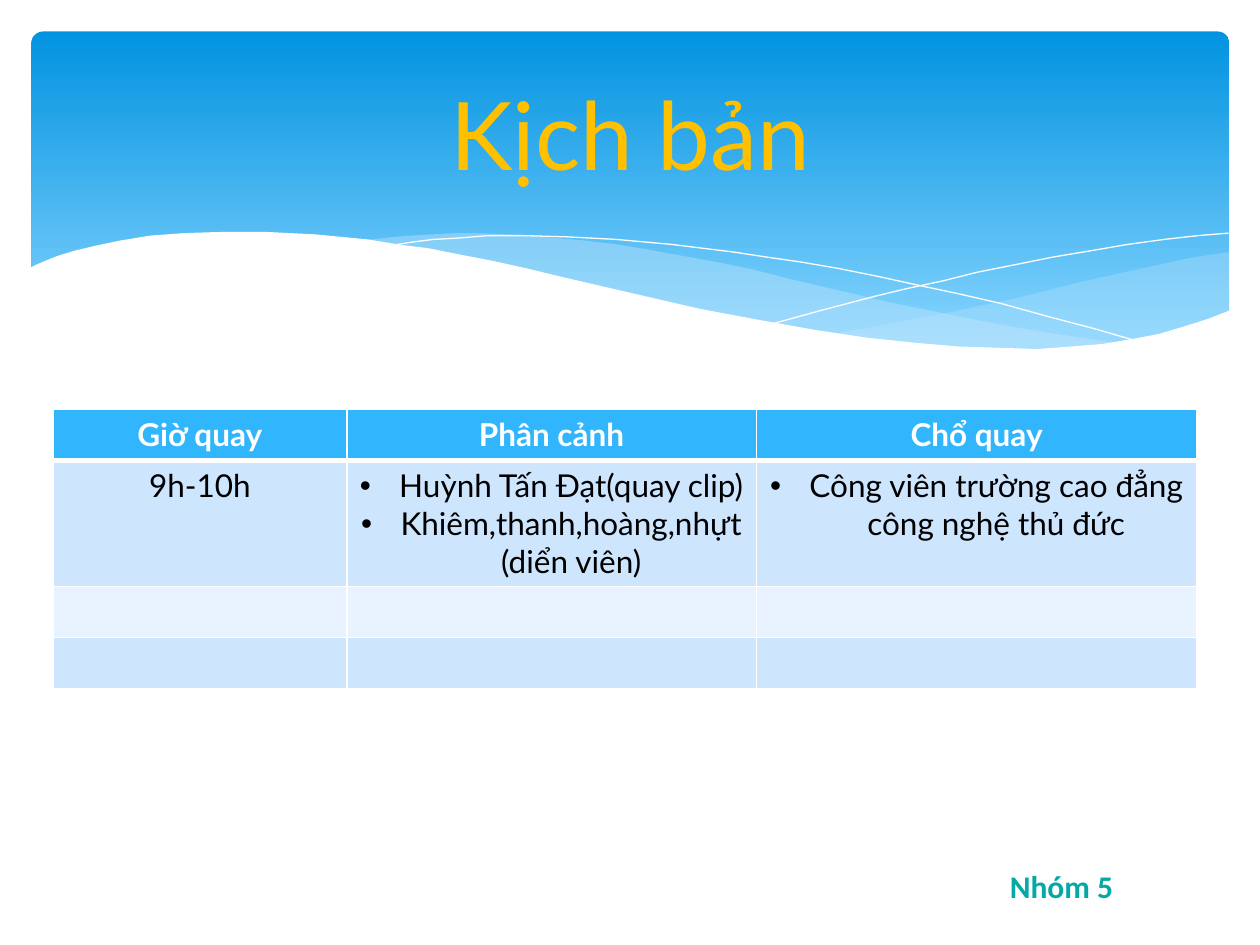
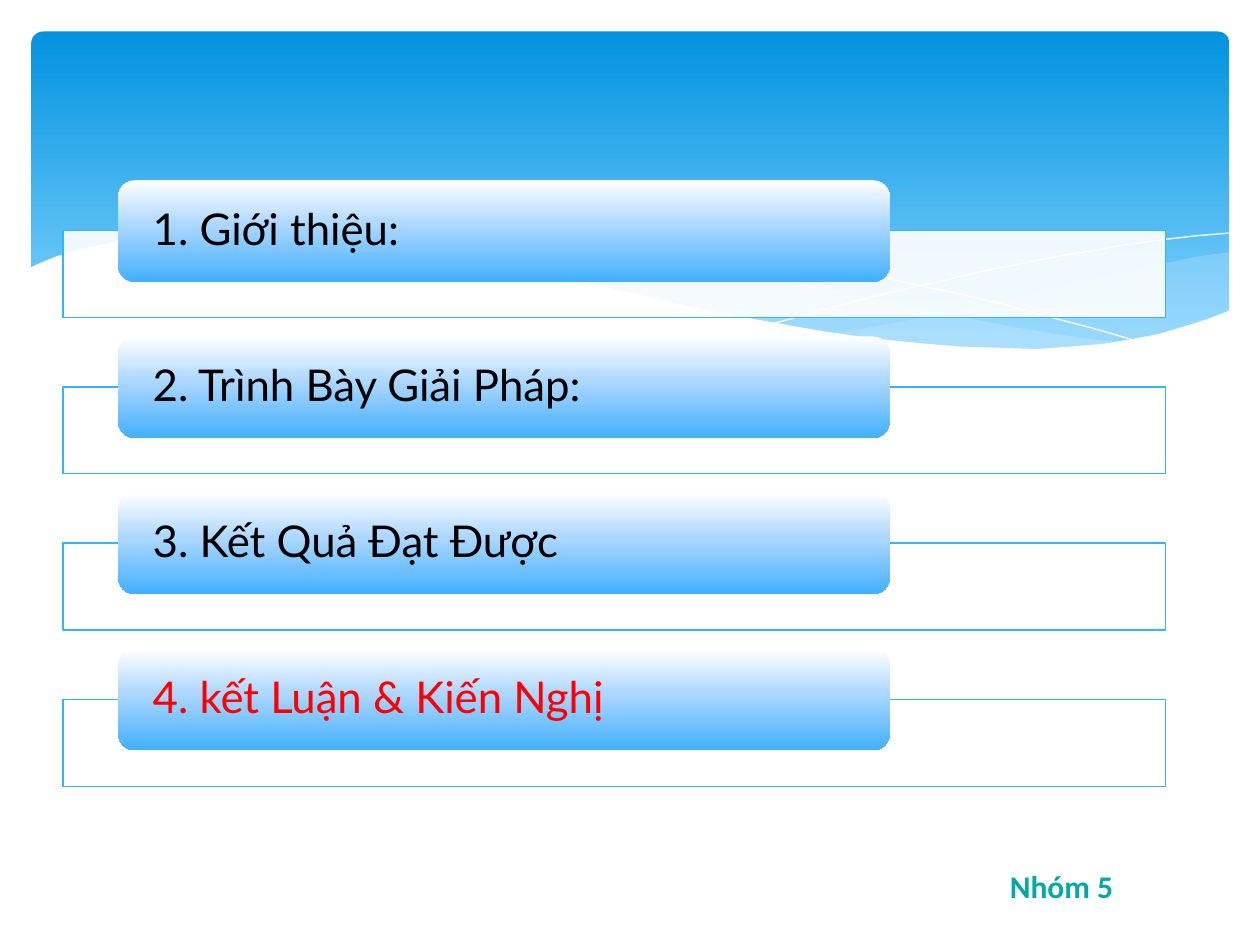
from copy import deepcopy

from lxml import etree
from pptx import Presentation
from pptx.dml.color import RGBColor as RGB
from pptx.enum.shapes import MSO_SHAPE as SHAPE
from pptx.enum.text import MSO_ANCHOR as ANCHOR, PP_ALIGN as ALIGN
from pptx.oxml import parse_xml
from pptx.oxml.ns import nsdecls, qn
from pptx.util import Pt

COLORS = {
    "white": "FFFFFF", "black": "000000", "red": "FF0000", "gold": "FFC000",
    "teal": "04A8A4", "sky": "31B6FD", "mist": "C6E7FC",
    "band_top": "0293E0", "band_end": "83D3FE",
    "pill_mid": "ACD7FF", "pill_end": "42B0FD",
    "row_dark": "CEE5FE", "row_light": "E8F3FF",
}
GRID = Pt(0.72)

RIGHT_WAVE = [
    (976, 200), (948, 204), (906, 213), (861, 223), (805, 237), (753, 248),
    (706, 257), (661, 265), (691, 269), (719, 272), (745, 275), (769, 277),
    (803, 278), (835, 277), (863, 275), (889, 272), (913, 267), (935, 262),
    (949, 257), (963, 252), (976, 247),
]
MIDDLE_WAVE = [
    (893, 273), (866, 269), (837, 265), (807, 260), (775, 254), (741, 247),
    (706, 240), (668, 231), (629, 222), (598, 214), (569, 208), (541, 203),
    (514, 198), (489, 194), (465, 191), (442, 189), (420, 187), (399, 186),
    (380, 185), (361, 185), (344, 186), (328, 187), (313, 188), (286, 191),
    (323, 196), (362, 203), (404, 211), (449, 222), (491, 232), (530, 240),
    (566, 248), (601, 255), (634, 261), (665, 266), (695, 270), (722, 274),
    (748, 276), (773, 277), (796, 278), (828, 278), (857, 277), (876, 275),
]
FALLING_LINE = [
    (309, 195), (328, 192), (344, 190), (363, 189), (387, 187), (416, 187),
    (450, 188), (489, 190), (533, 194), (582, 200), (608, 204), (636, 208),
    (665, 213), (695, 219), (727, 226), (760, 233), (795, 241), (831, 251),
    (869, 261), (907, 272),
]
RISING_LINE = [
    (613, 257), (653, 246), (695, 235), (720, 229), (748, 223), (776, 216),
    (806, 210), (836, 204), (866, 199), (895, 194), (924, 190), (951, 187),
    (975, 185),
]
WHITE_WAVE = [
    (977, 246), (959, 253), (940, 259), (920, 265), (899, 269), (875, 273),
    (850, 275), (823, 277), (793, 276), (761, 275), (726, 272), (688, 268),
    (648, 262), (603, 254), (555, 245), (503, 233), (447, 220), (418, 213),
    (391, 207), (365, 202), (340, 197), (316, 194), (292, 190), (271, 188),
    (250, 186), (230, 185), (211, 184), (177, 184), (146, 185), (119, 187),
    (95, 191), (76, 195), (59, 199), (46, 203), (36, 207), (29, 210),
    (23, 213), (23, 329), (977, 329),
]
WAVES = [
    (RIGHT_WAVE, ["mist"], 29, None),
    (MIDDLE_WAVE, ["mist"], 40, None),
    (FALLING_LINE, [], 100, "white"),
    (RISING_LINE, [], 100, "white"),
    (WHITE_WAVE, ["white"], 100, None),
]


def paint(sp, names, positions=(), alpha=100, line=None, width=0):
    sp.shadow.inherit = False
    if len(names) > 1:
        sp.fill.gradient()
        sp.fill.gradient_angle = 270
        stops = sp._element.spPr.find(".//" + qn("a:gsLst"))
        while len(stops) < len(names):
            stops.append(deepcopy(stops[-1]))
        for stop, name, position in zip(sp.fill.gradient_stops, names, positions):
            stop.color.rgb = RGB.from_string(COLORS[name])
            stop.position = position
    elif names:
        sp.fill.solid()
        sp.fill.fore_color.rgb = RGB.from_string(COLORS[names[0]])
        if alpha < 100:
            color = sp._element.spPr.find(qn("a:solidFill"))[0]
            etree.SubElement(color, qn("a:alpha"), val=str(alpha * 1000))
    else:
        sp.fill.background()
    if line:
        sp.line.color.rgb = RGB.from_string(COLORS[line])
        sp.line.width = Pt(width)
    else:
        sp.line.fill.background()


def add_run(p, text, size, color, font="Lato", bold=False):
    r = p.add_run()
    r.text = text
    r.font.name = font
    r.font.size = Pt(size)
    r.font.bold = bold
    r.font.color.rgb = RGB.from_string(COLORS[color])


prs = Presentation()
prs.slide_width, prs.slide_height = Pt(720), Pt(540)
script_slide = prs.slides.add_slide(prs.slide_layouts[5])
agenda_slide = prs.slides.add_slide(prs.slide_layouts[6])

for s in (script_slide, agenda_slide):
    band = s.shapes.add_shape(SHAPE.ROUNDED_RECTANGLE, Pt(18), Pt(18), Pt(684.5), Pt(194.4))
    band.adjustments[0] = 0.034
    paint(band, ["band_top", "band_end"], (0, 0.9))
    for points, names, alpha, line in WAVES:
        builder = s.shapes.build_freeform(*points[0], scale=GRID)
        builder.add_line_segments(points[1:], close=line is None)
        paint(builder.convert_to_shape(), names, alpha=alpha, line=line)
    footer = s.shapes.add_textbox(Pt(570), Pt(491.8), Pt(132), Pt(28.8))
    footer.text_frame.word_wrap = True
    add_run(footer.text_frame.paragraphs[0], "Nhóm 5", 18, "teal", "Calibri", True)

title = script_slide.shapes.title
title._element.getparent().append(title._element)
title.left, title.top, title.width, title.height = Pt(36), Pt(26.6), Pt(648), Pt(98.6)
tf = title.text_frame
tf.vertical_anchor = ANCHOR.MIDDLE
p = tf.paragraphs[0]
p.alignment = ALIGN.CENTER
add_run(p, "Kịch bản", 54, "gold")

ROWS = [
    [["Giờ quay"], ["Phân cảnh"], ["Chổ quay"]],
    [["9h-10h"],
     ["Huỳnh Tấn Đạt(quay clip)", "Khiêm,thanh,hoàng,nhựt(diển viên)"],
     ["Công viên trường cao đẳng công nghệ thủ đức"]],
    [[], [], []],
    [[], [], []],
]
ROW_FILLS = ["sky", "row_dark", "row_light", "row_dark"]
table = script_slide.shapes.add_table(4, 3, Pt(30.2), Pt(234), Pt(653.8), Pt(159.6)).table
for column, width in zip(table.columns, (168, 234, 251.8)):
    column.width = Pt(width)
for row, height in zip(table.rows, (29.2, 72, 29.2, 29.2)):
    row.height = Pt(height)

for i, cells in enumerate(ROWS):
    for j, lines in enumerate(cells):
        cell = table.cell(i, j)
        widths = {"L": 1, "R": 1, "T": 3 if i == 1 else 1, "B": 3 if i == 0 else 1}
        tcPr = cell._tc.get_or_add_tcPr()
        for side, width in widths.items():
            tcPr.append(parse_xml(
                f'<a:ln{side} {nsdecls("a")} w="{Pt(width)}"><a:solidFill>'
                f'<a:srgbClr val="{COLORS["white"]}"/></a:solidFill></a:ln{side}>'))
        cell.fill.solid()
        cell.fill.fore_color.rgb = RGB.from_string(COLORS[ROW_FILLS[i]])
        tf = cell.text_frame
        for k, text in enumerate(lines):
            p = tf.add_paragraph() if k else tf.paragraphs[0]
            p.alignment = ALIGN.CENTER
            add_run(p, text, 18, "black" if i else "white", bold=i == 0)
            if i and j:
                pPr = p._p.get_or_add_pPr()
                pPr.set("marL", str(Pt(22.5)))
                pPr.set("indent", str(Pt(-22.5)))
                etree.SubElement(pPr, qn("a:buFont"), typeface="Arial")
                etree.SubElement(pPr, qn("a:buChar"), char="•")

AGENDA = [
    ("1. Giới thiệu:", "black"),
    ("2. Trình Bày Giải Pháp:", "black"),
    ("3. Kết Quả Đạt Được", "black"),
    ("4. kết Luận & Kiến Nghị", "red"),
]
for i, (text, color) in enumerate(AGENDA):
    top = 103 + 89.28 * i
    frame = agenda_slide.shapes.add_shape(SHAPE.RECTANGLE, Pt(36), Pt(top + 28.8), Pt(630), Pt(49.7))
    paint(frame, ["white"], alpha=90, line="sky", width=0.75)
    pill = agenda_slide.shapes.add_shape(SHAPE.ROUNDED_RECTANGLE, Pt(67.5), Pt(top), Pt(441), Pt(58))
    paint(pill, ["white", "pill_mid", "pill_end"], (0, 0.44, 1))
    tf = pill.text_frame
    tf.word_wrap = True
    tf.vertical_anchor = ANCHOR.MIDDLE
    tf.margin_left = tf.margin_right = Pt(17)
    tf.margin_top = tf.margin_bottom = Pt(0)
    p = tf.paragraphs[0]
    p.alignment = ALIGN.LEFT
    p.line_spacing = 0.9
    add_run(p, text, 25, color)

prs.save("out.pptx")
